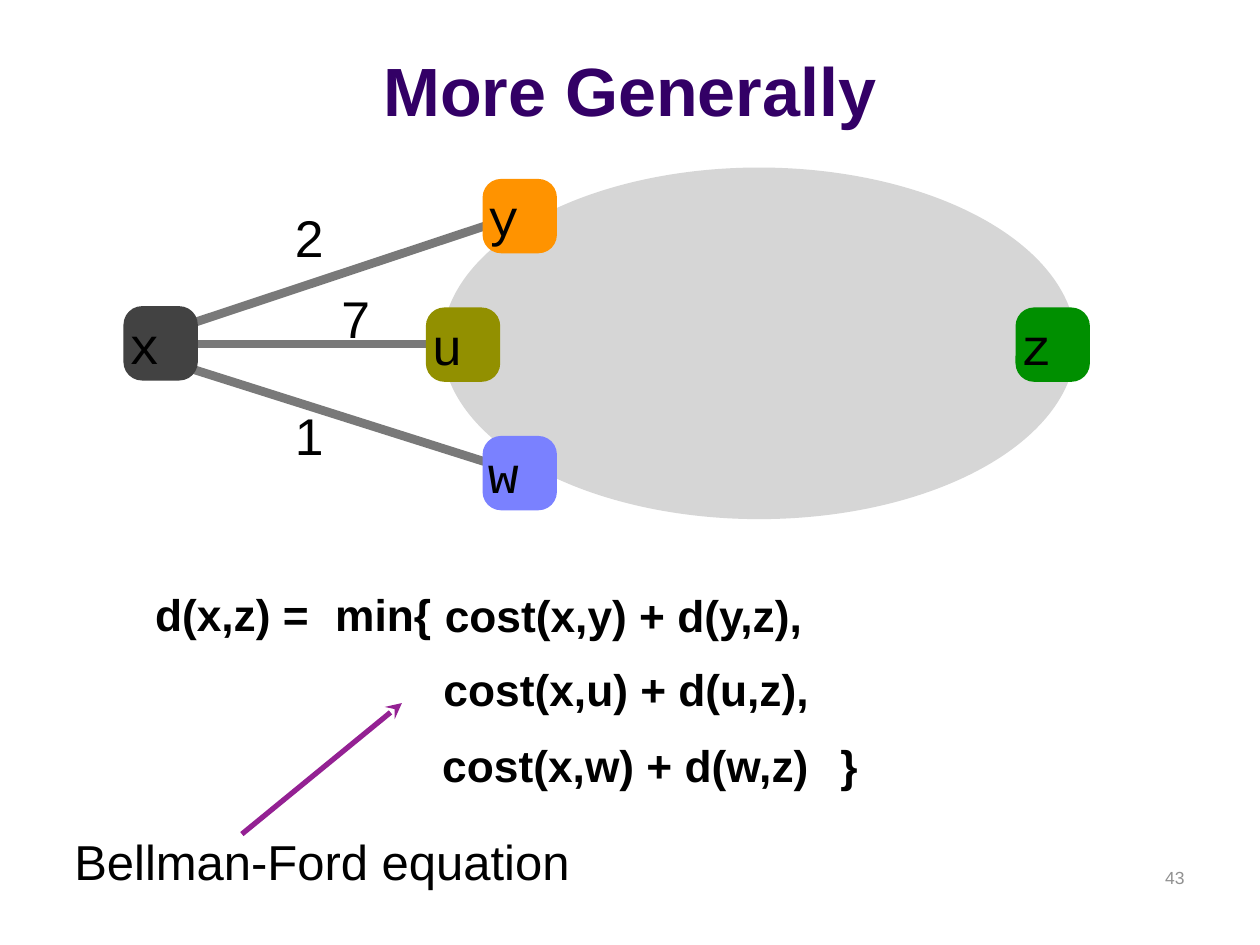
from lxml import etree
from pptx import Presentation
from pptx.dml.color import RGBColor
from pptx.enum.shapes import MSO_CONNECTOR, MSO_SHAPE
from pptx.enum.text import MSO_ANCHOR, MSO_AUTO_SIZE, PP_ALIGN
from pptx.oxml.ns import qn
from pptx.util import Inches, Pt

LINE = MSO_CONNECTOR.STRAIGHT
OVAL, ROUND = MSO_SHAPE.OVAL, MSO_SHAPE.ROUNDED_RECTANGLE
MIDDLE, BOTTOM, TOP = MSO_ANCHOR.MIDDLE, MSO_ANCHOR.BOTTOM, MSO_ANCHOR.TOP
LEFT, CENTER, RIGHT = PP_ALIGN.LEFT, PP_ALIGN.CENTER, PP_ALIGN.RIGHT
GROW = MSO_AUTO_SIZE.SHAPE_TO_FIT_TEXT

BLACK = RGBColor(0x00, 0x00, 0x00)
PURPLE = RGBColor(0x33, 0x00, 0x66)
PLUM = RGBColor(0x94, 0x21, 0x93)
CLOUD = RGBColor(0xD6, 0xD6, 0xD6)
EDGE = RGBColor(0x79, 0x79, 0x79)
PALE = RGBColor(0x91, 0x91, 0x91)
ORANGE = RGBColor(0xFF, 0x93, 0x00)
BLUE = RGBColor(0x7A, 0x81, 0xFF)
DARK = RGBColor(0x42, 0x42, 0x42)
OLIVE = RGBColor(0x92, 0x90, 0x00)
GREEN = RGBColor(0x00, 0x8F, 0x00)

deck = Presentation()
deck.slide_width, deck.slide_height = Inches(10), Inches(7.5)
slide = deck.slides.add_slide(deck.slide_layouts[5])
shapes = slide.shapes


def write(shape, text, size, inset=0.04, font="Arial", color=BLACK,
          bold=False, align=LEFT, anchor=MIDDLE):
    frame = shape.text_frame
    frame.text = text
    frame.vertical_anchor = anchor
    frame.margin_left = frame.margin_right = Inches(inset)
    frame.margin_top = frame.margin_bottom = Inches(min(inset, 0.05))
    para = frame.paragraphs[0]
    para.alignment = align
    para.font.name, para.font.size = font, Pt(size)
    para.font.bold, para.font.color.rgb = bold, color
    return frame


def link(start, end, color, width):
    line = shapes.add_connector(LINE, *[Inches(v) for v in start + end])
    line.line.color.rgb, line.line.width = color, Pt(width)
    etree.SubElement(line._element.spPr, qn("a:effectLst"))
    return line


# Title
title = shapes.title
title.left, title.top = Inches(0), Inches(0.13)
title.width, title.height = Inches(10), Inches(0.95)
write(title, "More Generally", 39, 0.1, color=PURPLE, bold=True,
      align=CENTER, anchor=BOTTOM)

# Network cloud
cloud = shapes.add_shape(OVAL, Inches(3.51), Inches(1.33), Inches(5.03), Inches(2.79))
cloud.shadow.inherit = False
cloud.fill.solid()
cloud.fill.fore_color.rgb = CLOUD
cloud.line.fill.background()

# Edges from x, tucked under the nodes
for start, end in [((1.42, 2.6), (3.95, 1.76)),
                   ((1.46, 2.73), (3.57, 2.73)),
                   ((1.37, 2.88), (3.96, 3.7))]:
    link(start, end, EDGE, 5)

# Nodes
for name, left, top, color in [("x", 0.98, 2.43, DARK), ("y", 3.83, 1.42, ORANGE),
                               ("u", 3.38, 2.44, OLIVE), ("w", 3.83, 3.46, BLUE),
                               ("z", 8.06, 2.44, GREEN)]:
    node = shapes.add_shape(ROUND, Inches(left), Inches(top), Inches(0.59), Inches(0.59))
    node.adjustments[0] = 0.25
    node.shadow.inherit = False
    node.fill.solid()
    node.fill.fore_color.rgb = color
    node.line.fill.background()
    write(node, name, 29.5, 0, font="Courier New")

# Edge costs, equation parts and caption: text, place, size, bold, wrap
for text, left, top, width, height, size, bold, wrap in [
    ("2", 2.3, 1.59, 0.29, 0.58, 29.5, False, True),
    ("7", 2.67, 2.23, 0.29, 0.58, 29.5, False, True),
    ("1", 2.3, 3.16, 0.29, 0.58, 29.5, False, True),
    ("d(x,z) =", 1.19, 4.62, 1.41, 0.5, 25.3, True, False),
    ("min{", 2.62, 4.62, 0.85, 0.5, 25.3, True, False),
    ("cost(x,y) + d(y,z),", 3.49, 4.63, 3.14, 0.5, 25.3, True, True),
    ("cost(x,u) + d(u,z),", 3.48, 5.22, 3.14, 0.5, 25.3, True, True),
    ("cost(x,w) + d(w,z)", 3.47, 5.82, 3.66, 0.5, 25.3, True, True),
    ("}", 6.63, 5.82, 0.22, 0.5, 25.3, True, False),
    ("Bellman-Ford equation", 0.55, 6.56, 4.33, 0.55, 28, False, True),
]:
    box = shapes.add_textbox(Inches(left), Inches(top), Inches(width), Inches(height))
    frame = write(box, text, size, bold=bold)
    frame.word_wrap = wrap
    frame.auto_size = GROW

# Arrow from the caption to the equation
arrow = link((1.92, 6.62), (3.19, 5.58), PLUM, 3)
etree.SubElement(arrow.line._get_or_add_ln(), qn("a:tailEnd"), type="stealth")

# Slide number
box = shapes.add_textbox(Inches(7.17), Inches(6.83), Inches(2.33), Inches(0.5))
write(box, "43", 10, 0.1, color=PALE, align=RIGHT, anchor=TOP).word_wrap = True

deck.save("out.pptx")
